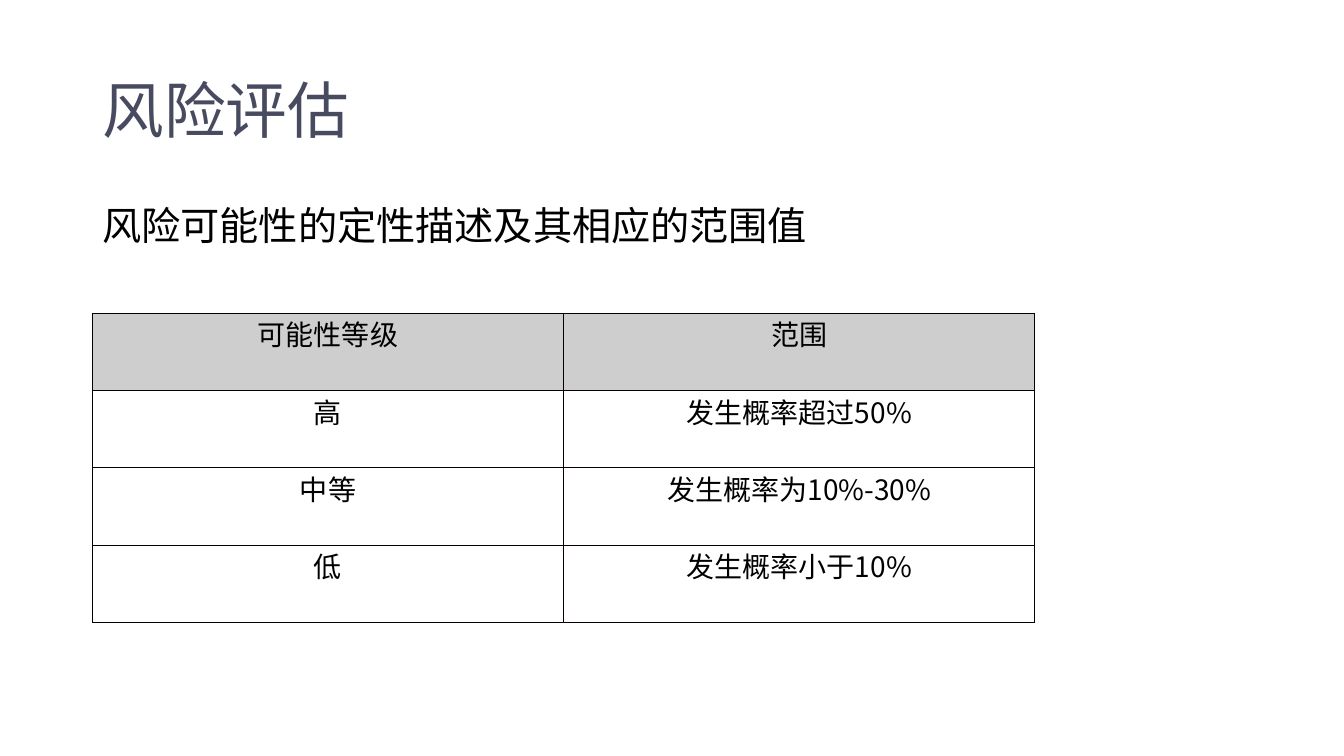
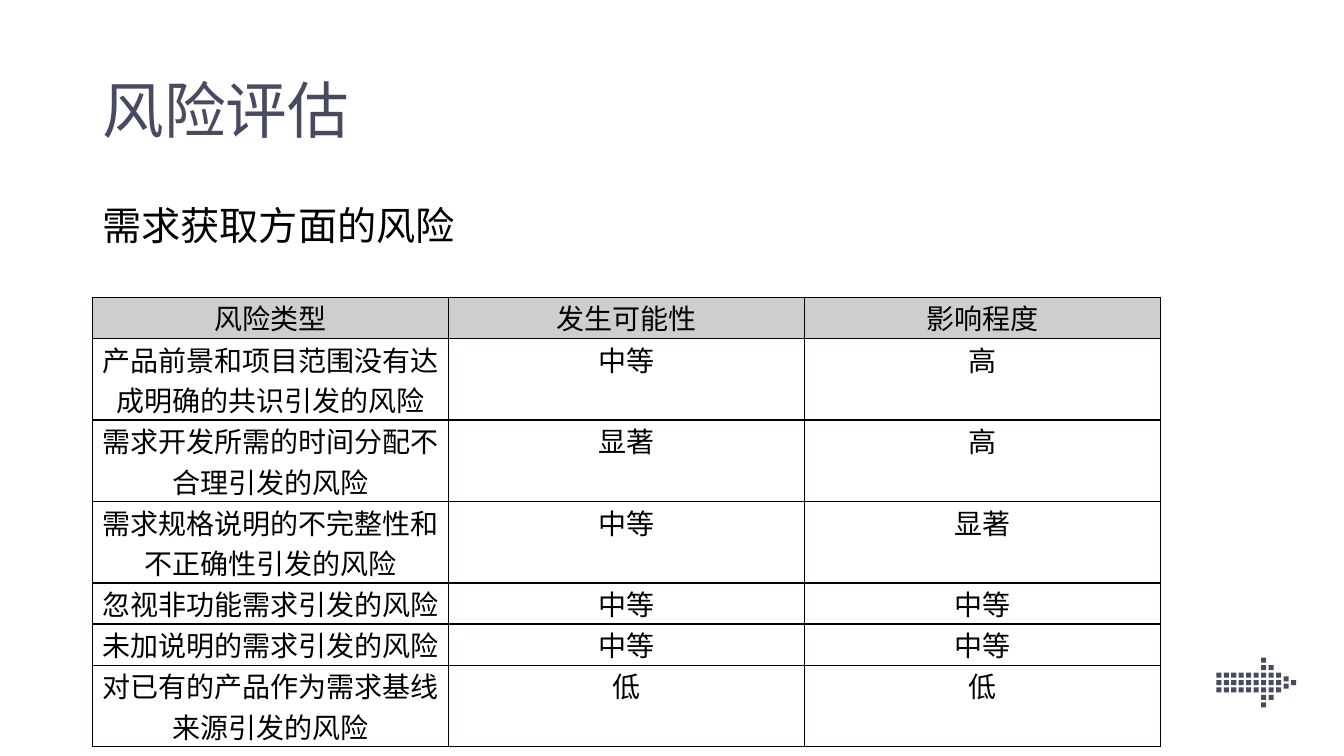
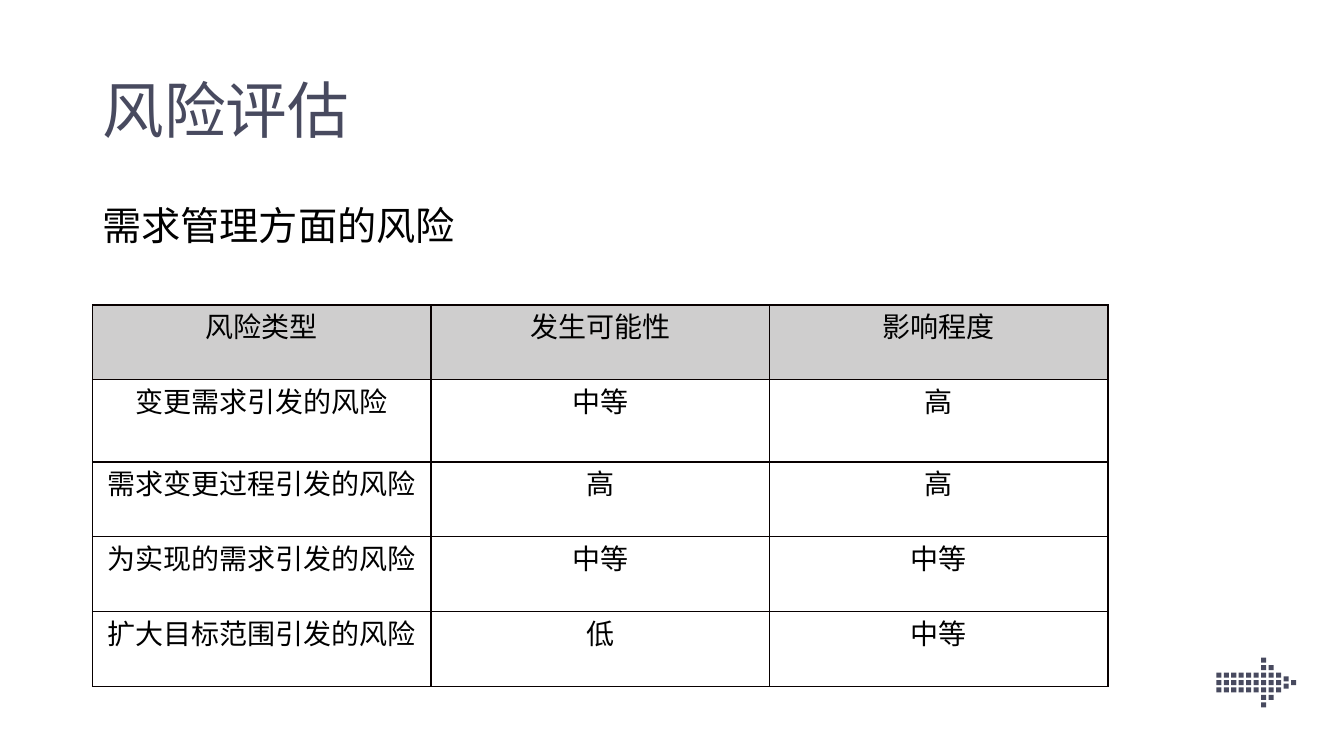
from lxml import etree
from pptx import Presentation
from pptx import util as u
from pptx.dml.color import RGBColor
from pptx.enum import text
from pptx.oxml import ns

INDIGO = RGBColor(0x48, 0x4A, 0x5F)
BLACK = RGBColor(0x00, 0x00, 0x00)
GREY = RGBColor(0xCF, 0xCE, 0xCE)
BORDER = RGBColor(0x08, 0x00, 0x00)
LATIN, CJK = "Arial", "Noto Sans CJK SC"

WIDTH, HEIGHT = u.Inches(13.33), u.Inches(7.5)
COLUMNS, ROWS = 16, 9
LEFT, CONTENT_WIDTH = 1.1, 13.8
TITLE_BOX = (LEFT, 0.48, CONTENT_WIDTH, 1.74)
SUBTITLE_BOX = (LEFT, 2.4, CONTENT_WIDTH, 0.65)
ARROW_BOX = (14.48, 7.83, 0.95, 0.59)
ONE_LINE, TWO_LINES = 0.49, 0.97

SHAFT = range(9)
ARROW_DOTS = {0: [6], 1: [6, 7], 2: SHAFT, 2.5: [9], 3: [*SHAFT, 10],
              3.5: [9], 4: SHAFT, 5: [6, 7], 6: [6]}
DOT = 0.06

RISK_HEADER = ("风险类型", "发生可能性", "影响程度")
SLIDES = [
    dict(
        subtitle="风险可能性的定性描述及其相应的范围值",
        top=3.73, column=5.61, heights=[0.92] * 4, arrow=False,
        rows=[
            ("可能性等级", "范围"),
            ("高", "发生概率超过50%"),
            ("中等", "发生概率为10%-30%"),
            ("低", "发生概率小于10%"),
        ],
    ),
    dict(
        subtitle="需求获取方面的风险",
        top=3.54, column=4.24, arrow=True,
        heights=[ONE_LINE, *[TWO_LINES] * 3, *[ONE_LINE] * 2, TWO_LINES],
        rows=[
            RISK_HEADER,
            ("产品前景和项目范围没有达成明确的共识引发的风险", "中等", "高"),
            ("需求开发所需的时间分配不合理引发的风险", "显著", "高"),
            ("需求规格说明的不完整性和不正确性引发的风险", "中等", "显著"),
            ("忽视非功能需求引发的风险", "中等", "中等"),
            ("未加说明的需求引发的风险", "中等", "中等"),
            ("对已有的产品作为需求基线来源引发的风险", "低", "低"),
        ],
    ),
    dict(
        subtitle="需求管理方面的风险",
        top=3.63, column=4.03, arrow=True,
        heights=[0.89, 0.98, 0.89, 0.89, 0.89],
        rows=[
            RISK_HEADER,
            ("变更需求引发的风险", "中等", "高"),
            ("需求变更过程引发的风险", "高", "高"),
            ("为实现的需求引发的风险", "中等", "中等"),
            ("扩大目标范围引发的风险", "低", "中等"),
        ],
    ),
]


def across(columns):
    """Convert grid columns to a length."""
    return u.Emu(round(WIDTH * columns / COLUMNS))


def down(rows):
    """Convert grid rows to a length."""
    return u.Emu(round(HEIGHT * rows / ROWS))


def place(box):
    """Convert a grid box to left, top, width and height."""
    left, top, width, height = box
    return across(left), down(top), across(width), down(height)


def write(frame, content, size, color=BLACK, font=LATIN, align=text.PP_ALIGN.LEFT,
          spacing=None, before=None):
    """Write one formatted paragraph into a text frame."""
    paragraph = frame.paragraphs[0]
    paragraph.alignment = align
    paragraph.line_spacing = spacing
    paragraph.space_before = before
    run = paragraph.add_run()
    run.text = content
    run.font.size = u.Pt(size)
    run.font.name = font
    run.font.color.rgb = color
    east_asian = etree.SubElement(run.font._element, ns.qn("a:ea"))
    east_asian.set("typeface", CJK)


def add_title(slide, content, box):
    """Move and fill the title placeholder."""
    title = slide.shapes.title
    title.left, title.top, title.width, title.height = place(box)
    frame = title.text_frame
    frame.auto_size = text.MSO_AUTO_SIZE.NONE
    frame.vertical_anchor = text.MSO_ANCHOR.MIDDLE
    write(frame, content, 44, color=INDIGO, spacing=0.9)


def add_subtitle(slide, content, box):
    """Add the line that introduces the table."""
    frame = slide.shapes.add_textbox(*place(box)).text_frame
    frame.word_wrap = True
    write(frame, content, 28, spacing=0.9, before=u.Pt(10))


def add_borders(cell):
    """Draw a thin line on each side of a cell."""
    properties = cell._tc.get_or_add_tcPr()
    for side in ("lnL", "lnR", "lnT", "lnB"):
        line = etree.SubElement(properties, ns.qn(f"a:{side}"), w=str(u.Pt(1)))
        fill = etree.SubElement(line, ns.qn("a:solidFill"))
        etree.SubElement(fill, ns.qn("a:srgbClr"), val=str(BORDER))


def add_risk_table(slide, rows, heights, column, left, top):
    """Add a bordered table with a grey header row."""
    count = len(rows[0])
    box = (left, top, column * count, sum(heights))
    table = slide.shapes.add_table(len(rows), count, *place(box)).table
    table.first_row = table.horz_banding = False
    for table_column in table.columns:
        table_column.width = across(column)
    for r, (values, height) in enumerate(zip(rows, heights)):
        table.rows[r].height = down(height)
        for c, value in enumerate(values):
            cell = table.cell(r, c)
            cell.margin_left = cell.margin_right = 0
            cell.margin_top = cell.margin_bottom = 0
            add_borders(cell)
            if r == 0:
                cell.fill.solid()
                cell.fill.fore_color.rgb = GREY
            else:
                cell.fill.background()
            write(cell.text_frame, value, 20, font=CJK, align=text.PP_ALIGN.CENTER)


def add_dotted_arrow(slide, box):
    """Add an arrow made of small squares as one outline."""
    left, top, width, height = place(box)
    dot = across(DOT)
    step_x, step_y = (width - dot) / 10, (height - dot) / 6
    corners = [(round(left + c * step_x), round(top + r * step_y))
               for r, columns in ARROW_DOTS.items() for c in columns]
    builder = slide.shapes.build_freeform(*corners[0])
    for index, (x, y) in enumerate(corners):
        if index:
            builder.move_to(x, y)
        builder.add_line_segments([(x + dot, y), (x + dot, y + dot), (x, y + dot)])
    arrow = builder.convert_to_shape()
    arrow.shadow.inherit = False
    arrow.fill.solid()
    arrow.fill.fore_color.rgb = INDIGO
    arrow.line.fill.background()


def add_risk_slide(deck, subtitle, rows, heights, column, top, arrow):
    """Add one risk assessment slide."""
    slide = deck.slides.add_slide(deck.slide_layouts[5])
    add_title(slide, "风险评估", TITLE_BOX)
    add_subtitle(slide, subtitle, SUBTITLE_BOX)
    add_risk_table(slide, rows, heights, column, LEFT, top)
    if arrow:
        add_dotted_arrow(slide, ARROW_BOX)


def main():
    """Build and save the presentation."""
    deck = Presentation()
    deck.slide_width, deck.slide_height = WIDTH, HEIGHT
    for content in SLIDES:
        add_risk_slide(deck, **content)
    deck.save("out.pptx")


if __name__ == "__main__":
    main()
